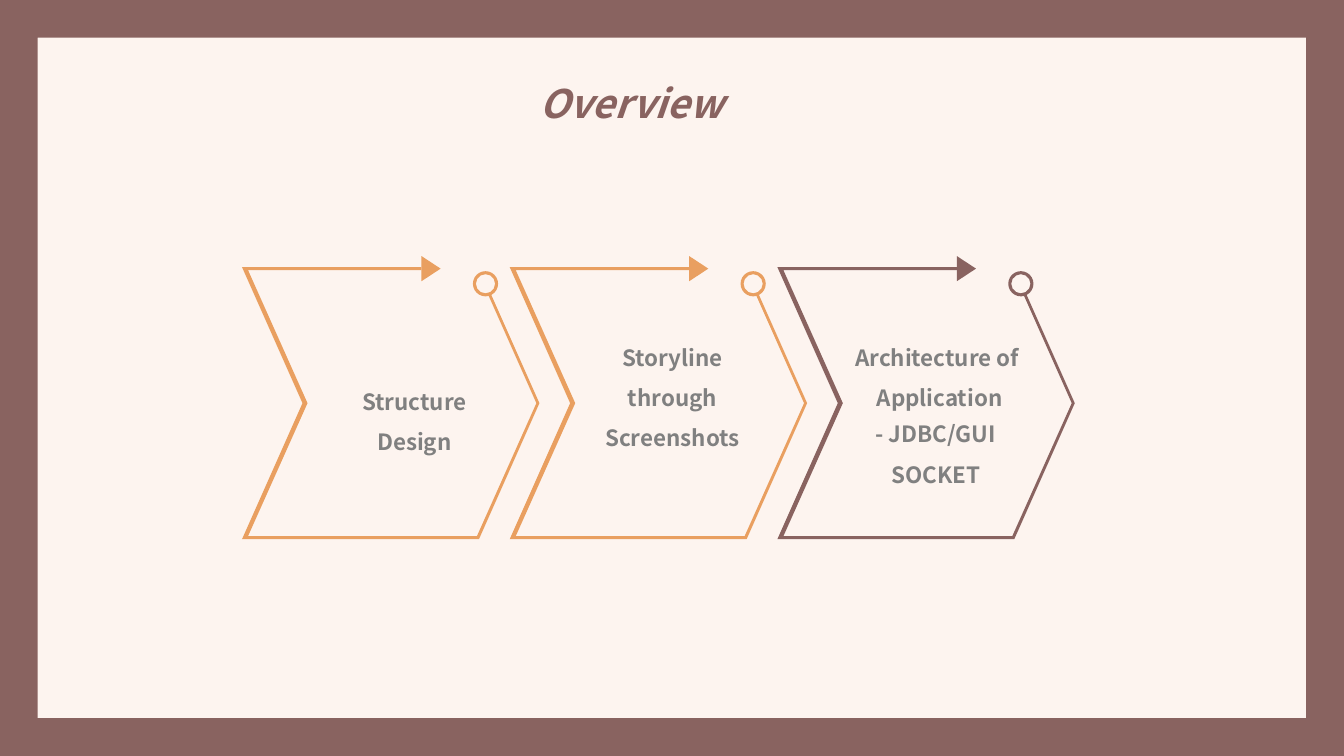
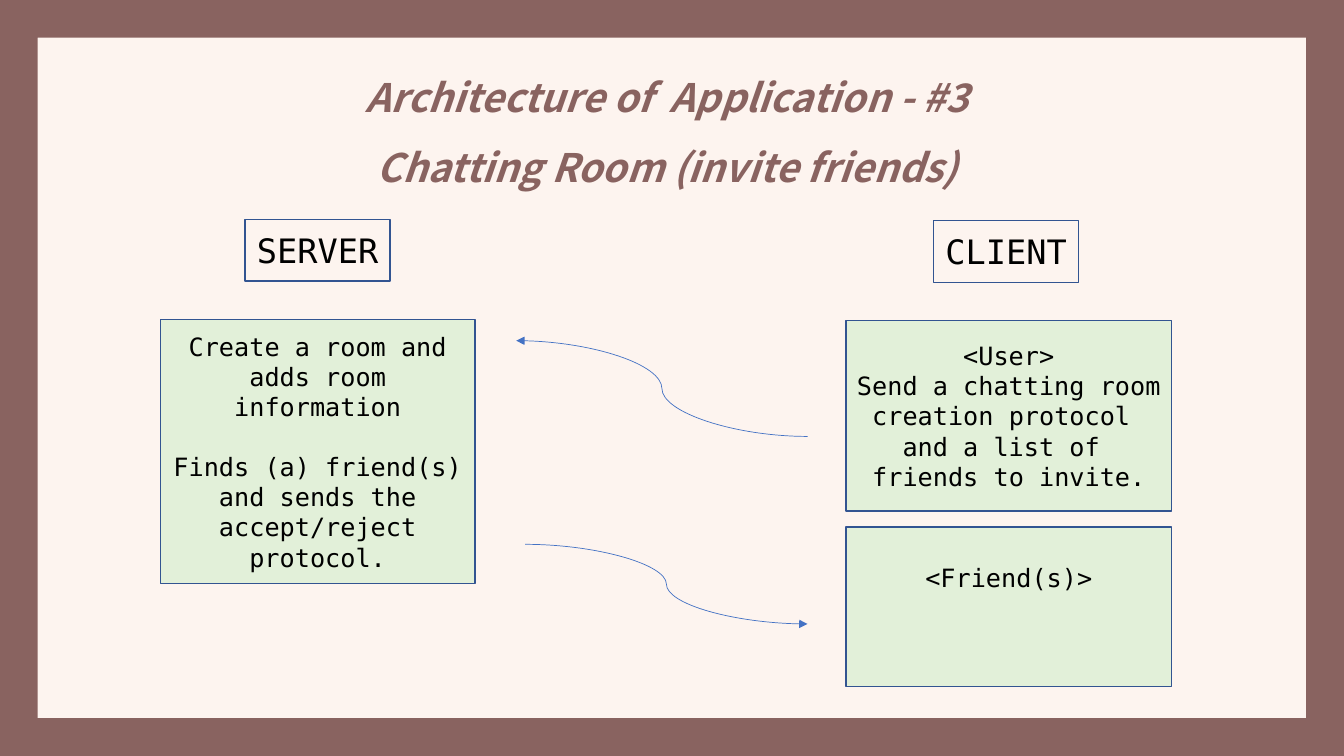
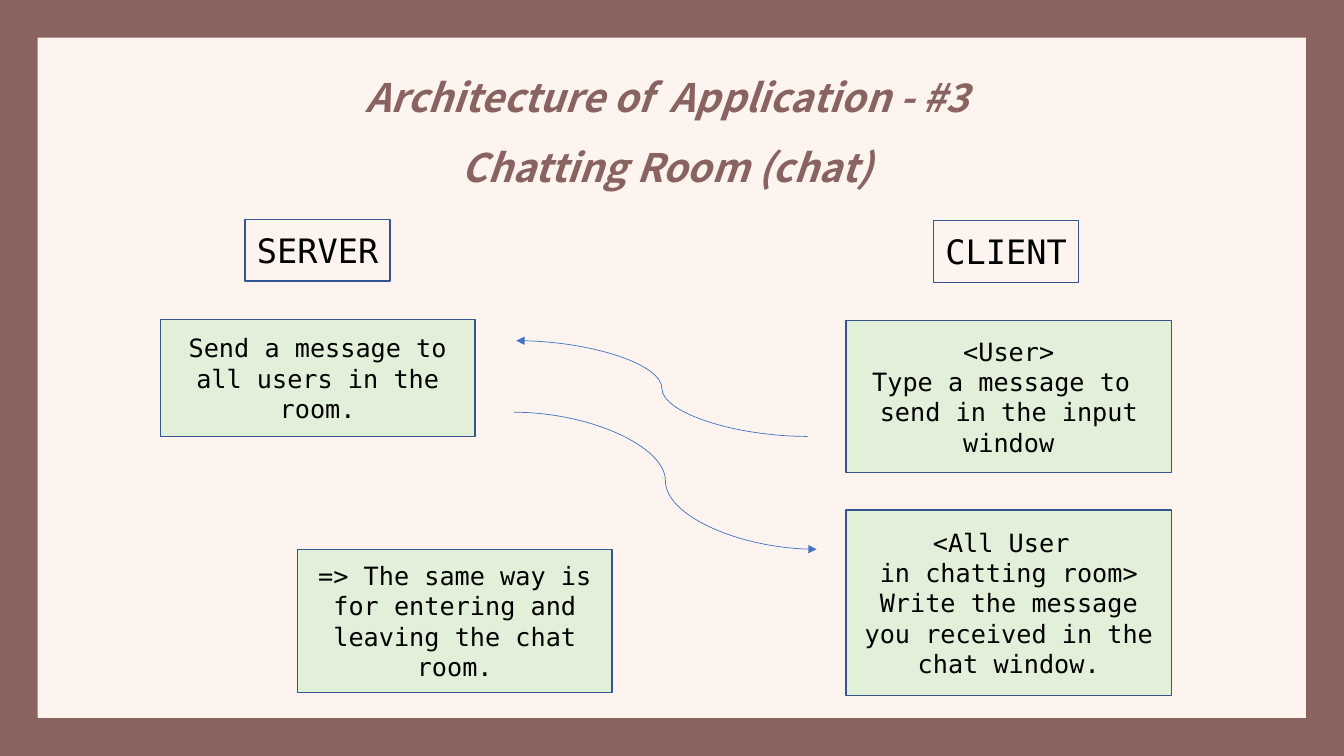
from lxml import etree
from pptx import Presentation
from pptx.dml.color import RGBColor
from pptx.enum.shapes import MSO_CONNECTOR, MSO_SHAPE
from pptx.enum.text import MSO_ANCHOR, MSO_AUTO_SIZE, PP_ALIGN
from pptx.oxml.ns import qn
from pptx.util import Inches, Pt

CENTER = PP_ALIGN.CENTER
TOP, MIDDLE = MSO_ANCHOR.TOP, MSO_ANCHOR.MIDDLE
CURVE = MSO_CONNECTOR.CURVE

CREAM = RGBColor(0xFD, 0xF4, 0xEF)
BROWN = RGBColor(0x89, 0x63, 0x60)
ORANGE = RGBColor(0xE9, 0x9F, 0x60)
GRAY = RGBColor(0x80, 0x80, 0x80)
BLACK = RGBColor(0, 0, 0)
PALE_GREEN = RGBColor(0xE2, 0xF0, 0xD9)
NAVY = RGBColor(0x32, 0x54, 0x91)
BLUE = RGBColor(0x44, 0x72, 0xC4)

SANS, MONO = "Noto Sans CJK KR", "DejaVu Sans Mono"


def write(frame, text, size, font, color, anchor=TOP, spacing=1.0, bold=False, italic=False):
    frame.word_wrap = True
    frame.auto_size = MSO_AUTO_SIZE.NONE
    frame.vertical_anchor = anchor
    frame.text = text
    for paragraph in frame.paragraphs:
        paragraph.alignment = CENTER
        paragraph.line_spacing = spacing
        for run in paragraph.runs:
            run.font.size = Pt(size)
            run.font.name = font
            run.font.color.rgb = color
            run.font.bold = bold
            run.font.italic = italic


def add_box(slide, place, text, size, fill=None):
    box = slide.shapes.add_shape(MSO_SHAPE.RECTANGLE, *[Inches(v) for v in place])
    box.shadow.inherit = False
    if fill is None:
        box.fill.background()
    else:
        box.fill.solid()
        box.fill.fore_color.rgb = fill
    box.line.color.rgb = NAVY
    box.line.width = Pt(1)
    write(box.text_frame, text, size, MONO, BLACK, MIDDLE)
    return box.text_frame


prs = Presentation()
prs.slide_width, prs.slide_height = Inches(13.33), Inches(7.5)
layout = prs.slide_layouts[5]
layout.background.fill.solid()
layout.background.fill.fore_color.rgb = CREAM

# Slides with their titles
TITLES = [
    ("Overview", (3.34, 0.5, 5.84, 0.72)),
    ("Architecture of  Application - #3 Chatting Room (invite friends)", (3.36, 0.44, 6.51, 1.42)),
    ("Architecture of  Application - #3 Chatting Room (chat)", (3.36, 0.44, 6.51, 1.42)),
]
for heading, place in TITLES:
    slide = prs.slides.add_slide(layout)
    title = slide.shapes.title
    title.left, title.top, title.width, title.height = [Inches(v) for v in place]
    write(title.text_frame, heading, 28, SANS, BROWN, spacing=1.5, bold=True, italic=True)
overview, invite, chat = prs.slides

# Brown border, moved to the layout so that every slide shows it
border = overview.shapes.add_shape(MSO_SHAPE.FRAME, 0, 0, prs.slide_width, prs.slide_height)
border.adjustments[0] = 0.05
border.shadow.inherit = False
border.fill.solid()
border.fill.fore_color.rgb = BROWN
border.line.fill.background()
layout.shapes._spTree.insert(2, border._element)

# Overview: three open chevrons with an arrowhead and a ring
CHEVRON = [
    (0, 0), (1.78, 0), (1.78, 0.03), (0.06, 0.03), (0.65, 1.35), (0.06, 2.67), (2.33, 2.67),
    (2.92, 1.35), (2.44, 0.27), (2.47, 0.27), (2.95, 1.35), (2.35, 2.7), (0, 2.7), (0.6, 1.35),
]
CHEVRON_LEFT, CHEVRON_TOP, CHEVRON_STEP = 2.4, 2.65, 2.655
for index, color in enumerate([ORANGE, ORANGE, BROWN]):
    left = CHEVRON_LEFT + index * CHEVRON_STEP
    step = overview.shapes.add_group_shape()
    outline = [(Inches(left + x), Inches(CHEVRON_TOP + y)) for x, y in CHEVRON]
    builder = step.shapes.build_freeform(*outline[0])
    builder.add_line_segments(outline[1:], close=True)
    chevron = builder.convert_to_shape()
    arrowhead = step.shapes.add_shape(
        MSO_SHAPE.ISOSCELES_TRIANGLE, Inches(left + 1.75), Inches(2.57), Inches(0.25), Inches(0.19))
    arrowhead.rotation = 90
    ring = step.shapes.add_shape(
        MSO_SHAPE.DONUT, Inches(left + 2.29), Inches(2.69), Inches(0.25), Inches(0.25))
    ring.adjustments[0] = 0.12
    for part in (chevron, arrowhead, ring):
        part.shadow.inherit = False
        part.fill.solid()
        part.fill.fore_color.rgb = color
        part.line.fill.background()

TOPICS = [
    ("Structure Design", 3.12, 3.67, 0.86),
    ("Storyline through Screenshots", 5.68, 3.23, 1.26),
    ("Architecture of  Application", 8.33, 3.23, 0.86),
    ("- JDBC/GUI\nSOCKET", 8.29, 3.99, 0.86),
]
for text, left, top, height in TOPICS:
    topic = overview.shapes.add_textbox(Inches(left), Inches(top), Inches(1.98), Inches(height))
    write(topic.text_frame, text, 16, SANS, GRAY, spacing=1.5, bold=True)

# Chatting room: column heads and message arrows
REQUEST = (8.01, 4.33, 5.12, 3.38)
for slide, reply in [(invite, (5.21, 5.4, 8.01, 6.19)), (chat, (5.1, 4.09, 8.1, 5.45))]:
    add_box(slide, (2.43, 2.18, 1.44, 0.61), "SERVER", 24)
    add_box(slide, (9.26, 2.19, 1.44, 0.61), "CLIENT", 24)
    for ends in (REQUEST, reply):
        message = slide.shapes.add_connector(CURVE, *[Inches(v) for v in ends])
        message.line.color.rgb = BLUE
        message.line.width = Pt(0.5)
        etree.SubElement(message.line._get_or_add_ln(), qn("a:tailEnd"), type="triangle")
        etree.SubElement(message._element.spPr, qn("a:effectLst"))

# Chatting room: what each side does
SERVER_LEFT, SERVER_WIDTH = 1.59, 3.12
CLIENT_LEFT, CLIENT_WIDTH = 8.39, 3.23
server_tasks = add_box(
    invite, (SERVER_LEFT, 3.17, SERVER_WIDTH, 2.62),
    "Create a room and adds room information\nFinds (a) friend(s) \n"
    "and sends the accept/reject protocol.", 18, PALE_GREEN)
server_tasks.paragraphs[1].space_before = Pt(21)
add_box(
    invite, (CLIENT_LEFT, 3.18, CLIENT_WIDTH, 1.89),
    "<User>\nSend a chatting room creation protocol \nand a list of \nfriends to invite.",
    18, PALE_GREEN)
friends = add_box(invite, (CLIENT_LEFT, 5.23, CLIENT_WIDTH, 1.58), "<Friend(s)>", 18, PALE_GREEN)
friends.margin_bottom = Inches(0.63)

add_box(chat, (SERVER_LEFT, 3.17, SERVER_WIDTH, 1.16),
        "Send a message to all users in the room.", 18, PALE_GREEN)
add_box(chat, (CLIENT_LEFT, 3.18, CLIENT_WIDTH, 1.51),
        "<User>\nType a message to \nsend in the input window", 18, PALE_GREEN)
add_box(chat, (2.95, 5.45, SERVER_WIDTH, 1.42),
        "=> The same way is for entering and leaving the chat room.", 18, PALE_GREEN)
add_box(chat, (CLIENT_LEFT, 5.06, CLIENT_WIDTH, 1.84),
        "<All User \nin chatting room>\nWrite the message you received in the chat window.",
        18, PALE_GREEN)

prs.save("out.pptx")
